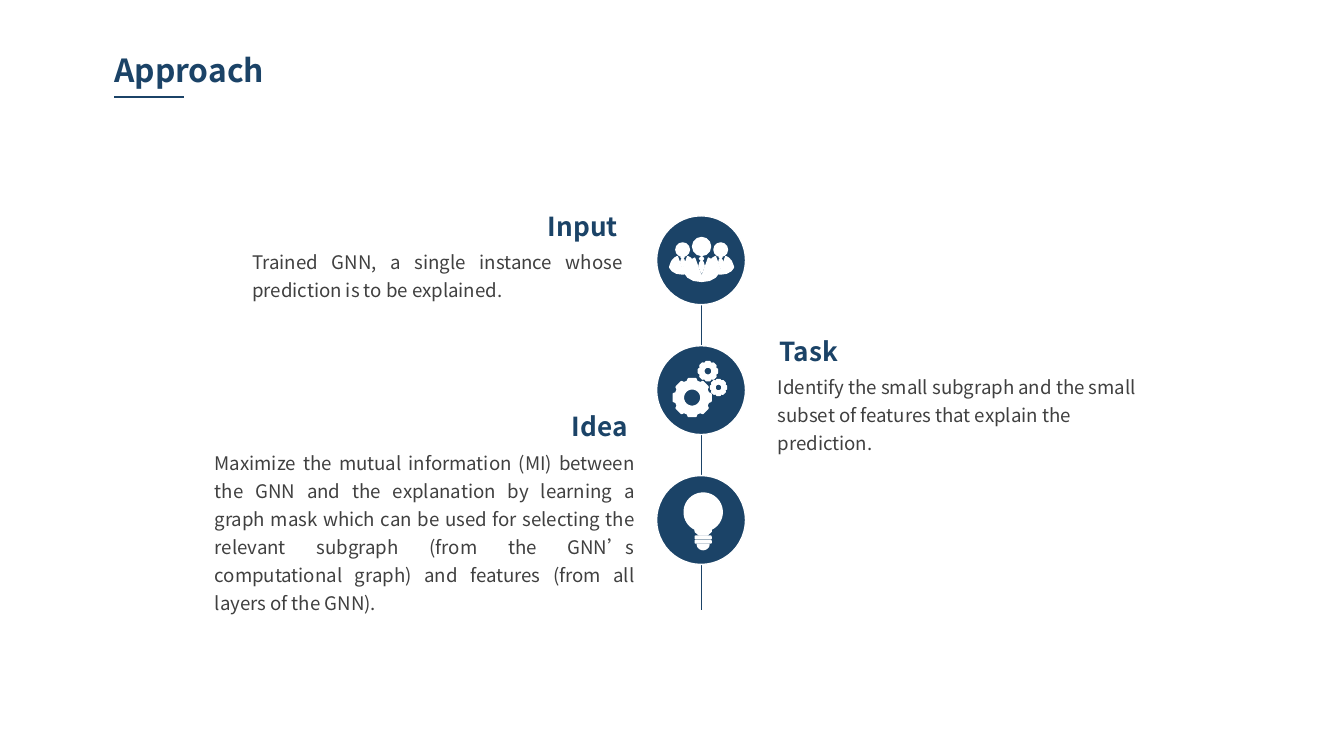
from math import cos, radians, sin

from lxml import etree
from pptx import Presentation
from pptx.dml.color import RGBColor
from pptx.enum import shapes, text
from pptx.oxml.ns import qn
from pptx.util import Cm, Pt

NAVY = RGBColor(0x1B, 0x43, 0x67)
GREY = RGBColor(0x40, 0x40, 0x40)
WHITE = RGBColor(0xFF, 0xFF, 0xFF)
FONT = "Noto Sans CJK SC"
LEFT, RIGHT, JUSTIFY = text.PP_ALIGN.LEFT, text.PP_ALIGN.RIGHT, text.PP_ALIGN.JUSTIFY

presentation = Presentation()
presentation.slide_width, presentation.slide_height = Cm(25.4), Cm(14.29)
slide = presentation.slides.add_slide(presentation.slide_layouts[6])


def add_preset(kind, x, y, width, height, fill=WHITE):
    """Add a white-edged preset shape centred on x, y."""
    shape = slide.shapes.add_shape(
        kind, Cm(x - width / 2), Cm(y - height / 2), Cm(width), Cm(height))
    shape.shadow.inherit = False
    shape.fill.solid()
    shape.fill.fore_color.rgb = fill
    shape.line.color.rgb = WHITE
    shape.line.width = Pt(0.75)


def add_outline(x, y, *contours, line_width=0.75):
    """Add a white freeform from contours of points relative to x, y."""
    paths = [[(Cm(x + dx), Cm(y + dy)) for dx, dy in contour] for contour in contours]
    builder = slide.shapes.build_freeform(*paths[0][0])
    builder.add_line_segments(paths[0][1:])
    for points in paths[1:]:
        builder.move_to(*points[0])
        builder.add_line_segments(points[1:])
    shape = builder.convert_to_shape()
    shape.shadow.inherit = False
    shape.fill.solid()
    shape.fill.fore_color.rgb = WHITE
    shape.line.color.rgb = WHITE
    shape.line.width = Pt(line_width)


# Title rule and timeline
for x1, y1, x2, y2 in [(2.16, 1.83, 3.48, 1.83), (13.26, 5.23, 13.26, 11.53)]:
    connector = slide.shapes.add_connector(
        shapes.MSO_CONNECTOR.STRAIGHT, Cm(x1), Cm(y1), Cm(x2), Cm(y2))
    connector.line.color.rgb = NAVY
    connector.line.width = Pt(0.75)
    etree.SubElement(connector._element.spPr, qn("a:effectLst"))

# Discs at equal steps down the timeline
AXIS, FIRST, STEP = 13.25, 4.92, 2.455
people_y, gears_y, bulb_y = [FIRST + STEP * index for index in range(3)]
for y in (people_y, gears_y, bulb_y):
    add_preset(shapes.MSO_SHAPE.OVAL, AXIS, y, 1.68, 1.68, NAVY)

# People: offset, scale, head height, shoulder height
half_body = [(0.13, 0), (0.2, 0.04), (0.27, 0.12), (0.32, 0.25), (0.32, 0.28),
             (0.26, 0.36), (0.15, 0.42), (0, 0.44)]
body = [(0, 0.36)] + half_body + [(-dx, dy) for dx, dy in reversed(half_body[:-1])]
tie = [(0, 0.05), (0.03, 0.08), (0.05, 0.15), (0, 0.28), (-0.05, 0.15), (-0.03, 0.08)]
for offset, scale, head, shoulder in [(-0.36, 0.75, -0.2, -0.07),
                                      (0.36, 0.75, -0.2, -0.07),
                                      (0, 1, -0.26, -0.04)]:
    x, y = AXIS + 0.01 + offset, people_y + shoulder
    add_preset(shapes.MSO_SHAPE.OVAL, x, people_y + head, 0.34 * scale, 0.34 * scale)
    for part in (body, tie):
        points = [(dx * scale, dy * scale) for dx, dy in part]
        add_outline(x, y, points + points[:1])
    add_preset(shapes.MSO_SHAPE.DIAMOND, x, y + 0.01, 0.08 * scale, 0.08 * scale)

# Gears: offset, radius, hole radius
for dx, dy, radius, hole in [(-0.17, 0.14, 0.36, 0.17), (0.13, -0.36, 0.18, 0.08),
                             (0.33, -0.05, 0.15, 0.07)]:
    teeth = [(radius * size * cos(radians(tooth + turn)),
              radius * size * sin(radians(tooth + turn)))
             for tooth in range(0, 360, 45)
             for turn, size in [(-16, 0.88), (-11, 1), (11, 1), (16, 0.88)]]
    ring = [(hole * cos(radians(angle)), hole * sin(radians(angle)))
            for angle in range(360, -1, -15)]
    add_outline(AXIS + dx, gears_y + dy, teeth + teeth[:1], ring, line_width=1)

# Light bulb: glass, screw threads, cap
x = AXIS + 0.04
glass = [(0.36 * cos(radians(angle)), 0.36 * sin(radians(angle)) - 0.15)
         for angle in range(115, 426, 10)]
glass += [(0.15, 0.22), (0.08, 0.28), (-0.08, 0.28), (-0.15, 0.22), glass[0]]
add_outline(x, bulb_y, glass)
for dy in (0.33, 0.41):
    add_preset(shapes.MSO_SHAPE.ROUNDED_RECTANGLE, x, bulb_y + dy, 0.3, 0.05)
cap = [(0.11 * cos(radians(angle)), 0.1 * sin(radians(angle)))
       for angle in range(0, 181, 15)]
add_outline(x, bulb_y + 0.46, cap + cap[:1])

# Texts: words, left, top, width, height, size, alignment
for words, left, top, width, height, size, alignment in [
    ("Approach", 1.98, 0.86, 6.27, 0.91, 17, LEFT),
    ("Input", 8.25, 3.91, 3.68, 0.79, 14, RIGHT),
    ("Trained GNN, a single instance whose prediction is to be explained.",
     4.52, 4.52, 7.49, 1.27, 10, JUSTIFY),
    ("Task", 14.48, 6.27, 4.34, 0.79, 14, LEFT),
    ("Identify the small subgraph and the small subset of features that explain "
     "the prediction.", 14.45, 6.88, 7.49, 1.85, 10, LEFT),
    ("Idea", 7.77, 7.7, 4.34, 0.79, 14, RIGHT),
    ("Maximize the mutual information (MI) between the GNN and the explanation by "
     "learning a graph mask which can be used for selecting the relevant subgraph "
     "(from the GNN’s computational graph) and features (from all layers of the GNN).",
     3.81, 8.31, 8.43, 3.4, 10, JUSTIFY),
]:
    box = slide.shapes.add_textbox(Cm(left), Cm(top), Cm(width), Cm(height))
    frame = box.text_frame
    frame.word_wrap = True
    frame.auto_size = text.MSO_AUTO_SIZE.SHAPE_TO_FIT_TEXT
    paragraph = frame.paragraphs[0]
    paragraph.text = words
    paragraph.alignment = alignment
    if size == 17:
        frame.margin_left = frame.margin_right = Cm(0.18)
        frame.margin_top = frame.margin_bottom = Cm(0.1)
    else:
        paragraph.line_spacing = Pt(15)
    font = paragraph.font
    font.name, font.size, font.bold = FONT, Pt(size), size > 10
    font.color.rgb = GREY if size == 10 else NAVY
    etree.SubElement(font._element, qn("a:ea"), typeface=FONT)

presentation.save("out.pptx")
